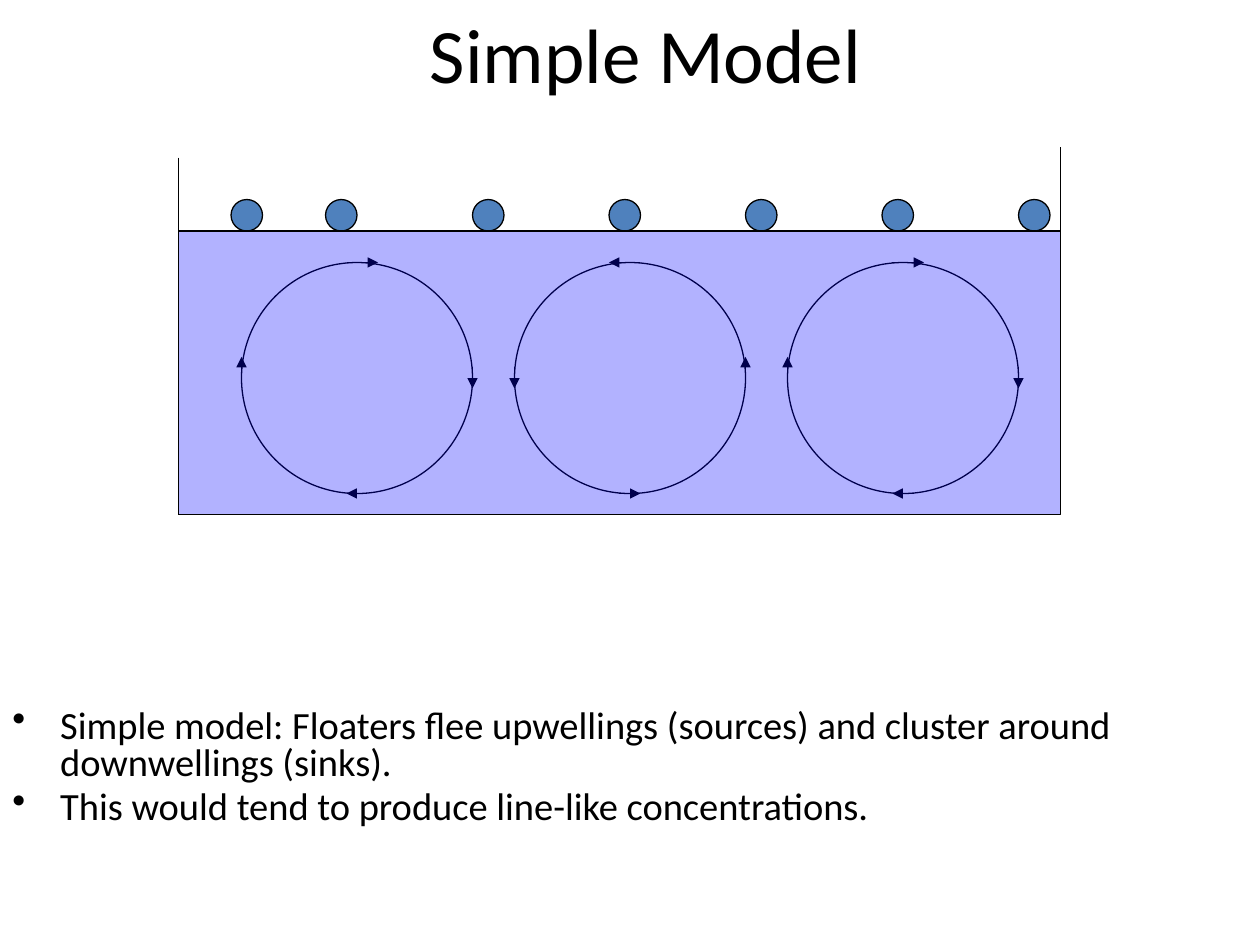
from dataclasses import dataclass

import lxml.etree
import pptx
import pptx.dml.color
import pptx.enum.dml
import pptx.enum.shapes
import pptx.enum.text
import pptx.oxml.ns
import pptx.util

qn = pptx.oxml.ns.qn
Pt = pptx.util.Pt
Shape = pptx.enum.shapes.MSO_SHAPE


@dataclass(frozen=True)
class Theme:
    ink: str = "000000"
    water: str = "0000FF"
    floater: str = "4F81BD"
    font: str = "Calibri"
    title: int = 44
    body: int = 22
    line: float = 0.75
    water_alpha: int = 30


@dataclass(frozen=True)
class Box:
    col: float
    row: float
    cols: float
    rows: float


@dataclass(frozen=True)
class Segment:
    col1: float
    row1: float
    col2: float
    row2: float
    dotted: bool = False
    arrow: bool = False


@dataclass(frozen=True)
class Cell:
    center: int
    turn: int


THEME = Theme()
COLS, ROWS = 120, 90
LEFT, RIGHT, SURFACE, FLOOR = 17, 101, 22, 49
CELL_ROW, RADIUS = 36, 11
FLOATER_SIZE = 3

WALLS = [
    Segment(LEFT, 15, LEFT, FLOOR),
    Segment(LEFT, FLOOR, RIGHT, FLOOR),
    Segment(RIGHT, FLOOR, RIGHT, 14),
    Segment(LEFT, SURFACE, RIGHT, SURFACE, dotted=True),
]
CELLS = [Cell(34, 1), Cell(60, -1), Cell(86, 1)]
FLOATERS = [22, 31, 45, 58, 71, 84, 97]
BULLETS = [
    "Simple model: Floaters flee upwellings (sources) and cluster around downwellings (sinks).",
    "This would tend to produce line-like concentrations.",
]

prs = pptx.Presentation()
prs.slide_width = pptx.util.Inches(10)
prs.slide_height = pptx.util.Inches(7.5)


def x(col: float) -> int:
    return round(prs.slide_width * col / COLS)


def y(row: float) -> int:
    return round(prs.slide_height * row / ROWS)


def place(box: Box) -> tuple:
    return x(box.col), y(box.row), x(box.cols), y(box.rows)


def rgb(value: str) -> pptx.dml.color.RGBColor:
    return pptx.dml.color.RGBColor.from_string(value)


def set_line(line) -> None:
    line.color.rgb = rgb(THEME.ink)
    line.width = Pt(THEME.line)


def draw_shape(shapes, kind, box: Box, fill: str = "", alpha: int = 100) -> None:
    sp = shapes.add_shape(kind, *place(box))
    sp.shadow.inherit = False
    set_line(sp.line)
    if not fill:
        sp.fill.background()
        return
    sp.fill.solid()
    sp.fill.fore_color.rgb = rgb(fill)
    if alpha < 100:
        color = sp._element.spPr.find(".//" + qn("a:srgbClr"))
        lxml.etree.SubElement(color, qn("a:alpha"), val=str(alpha * 1000))


def draw_line(shapes, seg: Segment) -> None:
    cxn = shapes.add_connector(
        pptx.enum.shapes.MSO_CONNECTOR.STRAIGHT,
        x(seg.col1), y(seg.row1), x(seg.col2), y(seg.row2),
    )
    set_line(cxn.line)
    if seg.dotted:
        cxn.line.dash_style = pptx.enum.dml.MSO_LINE.ROUND_DOT
    sppr = cxn._element.spPr
    if seg.arrow:
        lxml.etree.SubElement(sppr.find(qn("a:ln")), qn("a:tailEnd"), type="triangle")
    lxml.etree.SubElement(sppr, qn("a:effectLst"))


def draw_cell(shapes, cell: Cell) -> None:
    group = shapes.add_group_shape().shapes
    size = 2 * RADIUS
    draw_shape(group, Shape.OVAL, Box(cell.center - RADIUS, CELL_ROW - RADIUS, size, size))
    for dx1, dy1, dx2, dy2 in [
        (-1, -RADIUS, 2, -RADIUS),
        (-RADIUS, 0, -RADIUS, -2),
        (RADIUS, -1, RADIUS, 1),
        (1, RADIUS, -1, RADIUS),
    ]:
        draw_line(group, Segment(
            cell.center + cell.turn * dx1, CELL_ROW + dy1,
            cell.center + cell.turn * dx2, CELL_ROW + dy2, arrow=True,
        ))


def draw_text(shapes, box: Box, lines: list, size: int, paragraph: dict,
              indent: dict, bullet: str = ""):
    tf = shapes.add_textbox(*place(box)).text_frame
    tf.word_wrap = True
    for i, text in enumerate(lines):
        p = tf.add_paragraph() if i else tf.paragraphs[0]
        for name, value in paragraph.items():
            setattr(p, name, value)
        ppr = p._p.get_or_add_pPr()
        for name, value in indent.items():
            ppr.set(name, str(pptx.util.Inches(value)))
        if bullet:
            lxml.etree.SubElement(ppr, qn("a:buChar"), char=bullet)
        r = p.add_run()
        r.text = text
        for name, value in {"name": THEME.font, "size": Pt(size)}.items():
            setattr(r.font, name, value)
        r.font.color.rgb = rgb(THEME.ink)
    return tf


def main() -> None:
    s = prs.slides.add_slide(prs.slide_layouts[6])
    shapes = s.shapes
    for wall in WALLS:
        draw_line(shapes, wall)
    for cell in CELLS:
        draw_cell(shapes, cell)
    for col in FLOATERS:
        box = Box(col, SURFACE - FLOATER_SIZE, FLOATER_SIZE, FLOATER_SIZE)
        draw_shape(shapes, Shape.OVAL, box, THEME.floater)
    water = Box(LEFT, SURFACE, RIGHT - LEFT, FLOOR - SURFACE)
    draw_shape(shapes, Shape.RECTANGLE, water, THEME.water, THEME.water_alpha)
    draw_text(
        shapes, Box(0, 67, COLS, 16), BULLETS, THEME.body,
        {"line_spacing": 0.8, "space_before": Pt(0.2 * THEME.body)},
        {"marL": 0.38, "indent": -0.38}, "•",
    )
    tf = draw_text(
        shapes, Box(0, 0, COLS, 10), ["Simple Model"], THEME.title,
        {"alignment": pptx.enum.text.PP_ALIGN.CENTER}, {"marL": 0.25},
    )
    tf.auto_size = pptx.enum.text.MSO_AUTO_SIZE.SHAPE_TO_FIT_TEXT
    prs.save("out.pptx")


if __name__ == "__main__":
    main()
